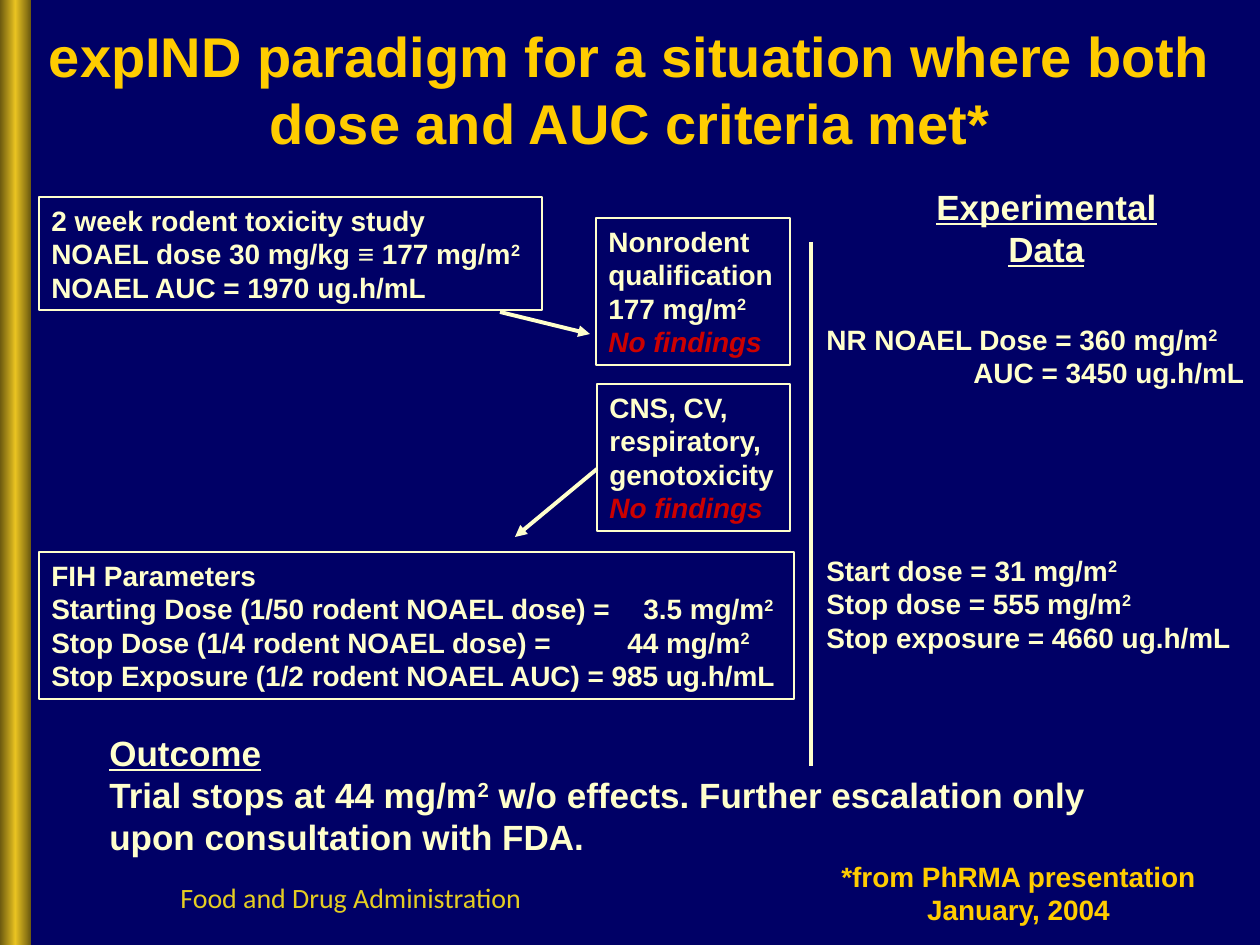
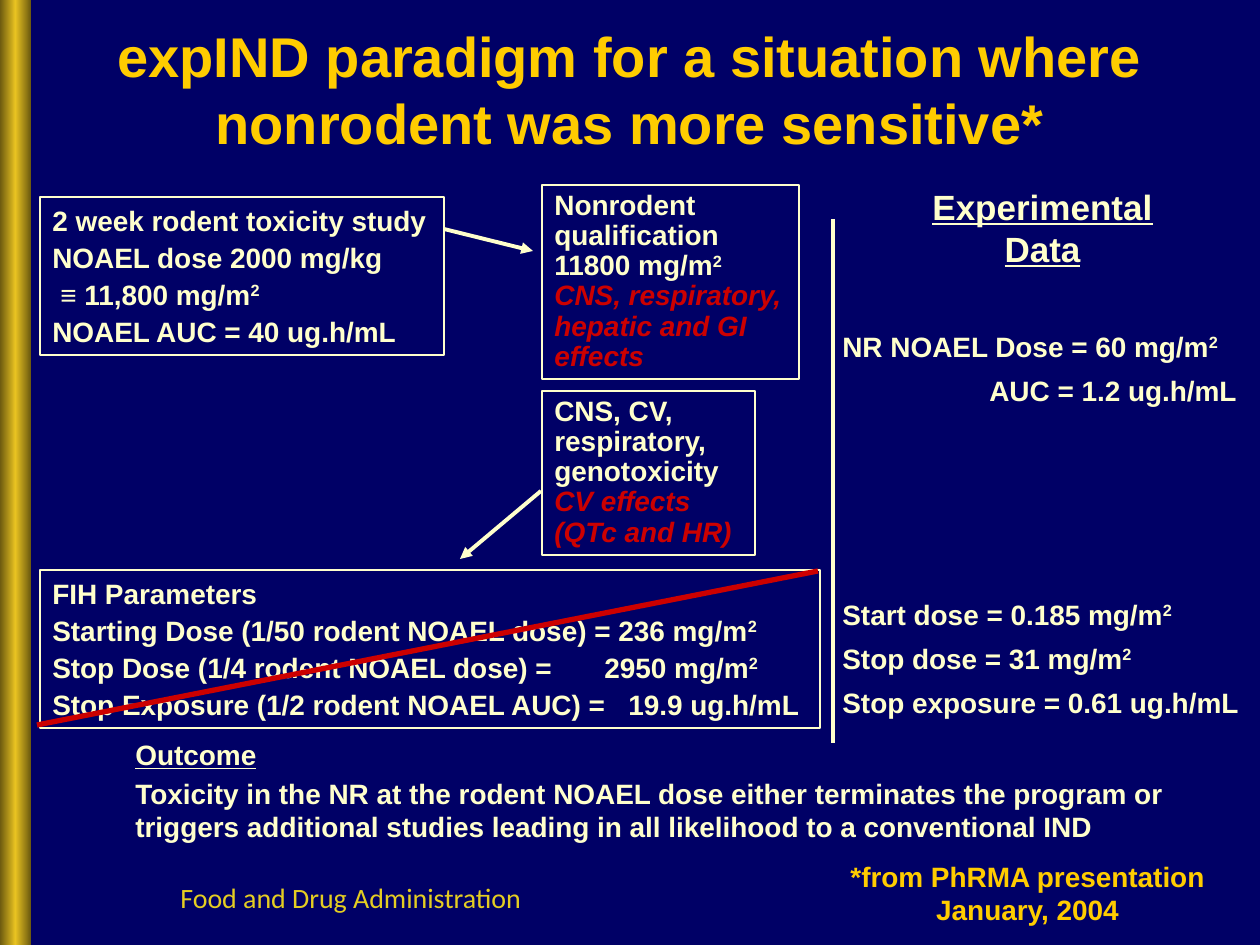
from copy import deepcopy

from lxml import etree
from pptx import Presentation
from pptx.dml.color import RGBColor
from pptx.enum.shapes import MSO_CONNECTOR, MSO_SHAPE
from pptx.enum.text import MSO_ANCHOR, MSO_AUTO_SIZE, PP_ALIGN
from pptx.oxml.ns import qn
from pptx.util import Pt

PX = 7257.14  # EMU in one px, at 126 px to the inch
NAVY = RGBColor(0x00, 0x00, 0x66)
GOLD = RGBColor(0xFF, 0xCC, 0x00)
CREAM = RGBColor(0xFF, 0xFF, 0xCC)
RED = RGBColor(0xCC, 0x00, 0x00)
BAND_EDGE = RGBColor(0x6B, 0x59, 0x0F)
BAND_CENTRE = RGBColor(0xE9, 0xC3, 0x21)
FOOTER_GOLD = RGBColor(0xE4, 0xCD, 0x22)
RECTANGLE = MSO_SHAPE.RECTANGLE
STRAIGHT = MSO_CONNECTOR.STRAIGHT
TOP, MIDDLE, BOTTOM = MSO_ANCHOR.TOP, MSO_ANCHOR.MIDDLE, MSO_ANCHOR.BOTTOM
LEFT, CENTER = PP_ALIGN.LEFT, PP_ALIGN.CENTER
NO_AUTOFIT = MSO_AUTO_SIZE.NONE
AUC_INDENT = 147

# Each text is (place, lines, options). A line is (text, options); ^ marks
# the start and end of a superscript, and tab and indent are px.
SLIDES = [
    {
        "title": "expIND paradigm for a situation where both dose and AUC criteria met*",
        "heading": (914, 179, 265, 97),
        "source": (811, 853, 415, 81),
        "boxes": [
            ((39, 197, 503, 113), [
                ("2 week rodent toxicity study", {}),
                ("NOAEL dose 30 mg/kg ≡ 177 mg/m^2^", {}),
                ("NOAEL AUC = 1970 ug.h/mL", {})], {}),
            ((596, 218, 194, 147), [
                ("Nonrodent qualification", {}),
                ("177 mg/m^2^", {}),
                ("No findings", {"finding": True})], {}),
            ((597, 384, 193, 147), [
                ("CNS, CV, respiratory, genotoxicity", {}),
                ("No findings", {"finding": True})], {}),
            ((39, 552, 755, 147), [
                ("FIH Parameters", {}),
                ("Starting Dose (1/50 rodent NOAEL dose) =\t3.5 mg/m^2^", {"tab": 592}),
                ("Stop Dose (1/4 rodent NOAEL dose) =\t44 mg/m^2^", {"tab": 576}),
                ("Stop Exposure (1/2 rodent NOAEL AUC) = 985 ug.h/mL", {})], {}),
        ],
        "notes": [
            ((814, 316, 446, 81), [
                ("NR NOAEL Dose = 360 mg/m^2^", {}),
                ("AUC = 3450 ug.h/mL", {"indent": AUC_INDENT})], {}),
            ((814, 547, 440, 113), [
                ("Start dose = 31 mg/m^2^", {}),
                ("Stop dose = 555 mg/m^2^", {}),
                ("Stop exposure = 4660 ug.h/mL", {})], {}),
            ((97, 725, 1034, 139), [
                ("Outcome", {"underline": True}),
                ("Trial stops at 44 mg/m^2^ w/o effects. Further escalation only "
                 "upon consultation with FDA.", {})], {"size": 20}),
        ],
        "divider": (811, 242, 811, 766),
        "arrows": [(500, 312, 590, 334), (597, 469, 515, 537)],
        "strikes": [],
    },
    {
        "title": "expIND paradigm for a situation where nonrodent was more sensitive*",
        "heading": (906, 179, 273, 97),
        "source": (829, 853, 397, 81),
        "boxes": [
            ((40, 197, 404, 158), [
                ("2 week rodent toxicity study", {}),
                ("NOAEL dose 2000 mg/kg", {}),
                ("≡ 11,800 mg/m^2^", {"indent": 8}),
                ("NOAEL AUC = 40 ug.h/mL", {})], {"gap": 2}),
            ((542, 185, 257, 194), [
                ("Nonrodent qualification 11800 mg/m^2^", {}),
                ("CNS, respiratory, hepatic and GI effects", {"finding": True})],
             {"spacing": 0.9}),
            ((542, 391, 213, 164), [
                ("CNS, CV, respiratory, genotoxicity", {}),
                ("CV effects (QTc and HR)", {"finding": True})], {"spacing": 0.9}),
            ((40, 570, 780, 158), [
                ("FIH Parameters", {}),
                ("Starting Dose (1/50 rodent NOAEL dose) = 236 mg/m^2^", {}),
                ("Stop Dose (1/4 rodent NOAEL dose) =\t2950 mg/m^2^", {"tab": 552}),
                ("Stop Exposure (1/2 rodent NOAEL AUC) =\t19.9 ug.h/mL", {"tab": 576})],
             {"gap": 2}),
        ],
        "notes": [
            ((830, 323, 428, 141), [
                ("NR NOAEL Dose = 60 mg/m^2^", {}),
                ("AUC = 1.2 ug.h/mL", {"indent": AUC_INDENT})], {"gap": 6}),
            ((830, 591, 428, 135), [
                ("Start dose = 0.185 mg/m^2^", {}),
                ("Stop dose = 31 mg/m^2^", {}),
                ("Stop exposure = 0.61 ug.h/mL", {})], {"gap": 6}),
            ((123, 731, 1137, 118), [
                ("Outcome", {"underline": True}),
                ("Toxicity in the NR at the rodent NOAEL dose either terminates the "
                 "program or triggers additional studies leading in all likelihood to "
                 "a conventional IND", {})], {"gap": 3}),
        ],
        "divider": (833, 219, 833, 743),
        "arrows": [(444, 229, 533, 251), (541, 491, 460, 559)],
        "strikes": [(37, 725, 818, 571)],
    },
]


def write_text(box, place, lines, size=16, color=CREAM, font="Arial", bold=True,
               align=LEFT, anchor=TOP, gap=0, spacing=None):
    """Place a text-bearing shape and fill it with formatted lines."""
    box.left, box.top, box.width, box.height = (round(n * PX) for n in place)
    frame = box.text_frame
    frame.word_wrap = True
    frame.auto_size = NO_AUTOFIT
    frame.vertical_anchor = anchor
    for number, (text, look) in enumerate(lines):
        para = frame.add_paragraph() if number else frame.paragraphs[0]
        para.alignment = align
        para.line_spacing = spacing
        para.space_before = Pt(gap if number else 0)
        properties = para._p.get_or_add_pPr()
        if "indent" in look:
            properties.set("marL", str(round(look["indent"] * PX)))
        if "tab" in look:
            tabs = etree.SubElement(properties, qn("a:tabLst"))
            etree.SubElement(tabs, qn("a:tab"), pos=str(round(look["tab"] * PX)), algn="l")
        for part, piece in enumerate(text.split("^")):
            if not piece:
                continue
            span = para.add_run()
            span.text = piece
            span.font.name = font
            span.font.size = Pt(size)
            span.font.bold = bold
            span.font.italic = look.get("finding", False)
            span.font.underline = look.get("underline", False)
            span.font.color.rgb = RED if look.get("finding") else color
            if part % 2:
                span.font._element.set("baseline", "30000")


def draw_line(page, ends, color=CREAM, width=2.25, arrow=False):
    line = page.shapes.add_connector(STRAIGHT, *(round(n * PX) for n in ends))
    line.line.color.rgb = color
    line.line.width = Pt(width)
    if arrow:
        etree.SubElement(line.line._get_or_add_ln(), qn("a:tailEnd"), type="triangle")
    etree.SubElement(line._element.spPr, qn("a:effectLst"))


deck = Presentation()
deck.slide_width, deck.slide_height = round(1260 * PX), round(945 * PX)
background = deck.slide_master.background.fill
background.solid()
background.fore_color.rgb = NAVY
title_only = deck.slide_layouts[5]

for content in SLIDES:
    page = deck.slides.add_slide(title_only)
    shapes = page.shapes

    band = shapes.add_shape(RECTANGLE, 0, 0, round(31 * PX), deck.slide_height)
    band.shadow.inherit = False
    band.line.fill.background()
    band.fill.gradient()
    band.fill.gradient_angle = 0
    stop_list = band._element.spPr.find(".//" + qn("a:gsLst"))
    stop_list.insert(1, deepcopy(stop_list[0]))
    for stop, position, color in zip(band.fill.gradient_stops, (0, 0.5, 1),
                                     (BAND_EDGE, BAND_CENTRE, BAND_EDGE)):
        stop.position = position
        stop.color.rgb = color

    write_text(shapes.add_textbox(0, 0, 0, 0), (168, 857, 399, 81),
               [("Food and Drug Administration", {})],
               color=FOOTER_GOLD, font="Calibri", bold=False, anchor=MIDDLE)
    write_text(shapes.title, (0, 15, 1260, 147), [(content["title"], {})],
               size=32, color=GOLD, align=CENTER, anchor=BOTTOM)
    write_text(shapes.add_textbox(0, 0, 0, 0), content["heading"],
               [("Experimental Data", {"underline": True})], size=20, align=CENTER)
    write_text(shapes.add_textbox(0, 0, 0, 0), content["source"],
               [("*from PhRMA presentation January, 2004", {})], color=GOLD, align=CENTER)

    for place, lines, options in content["boxes"]:
        box = shapes.add_shape(RECTANGLE, 0, 0, 0, 0)
        box.shadow.inherit = False
        box.fill.background()
        box.line.color.rgb = CREAM
        box.line.width = Pt(0.75)
        write_text(box, place, lines, **options)
    for place, lines, options in content["notes"]:
        write_text(shapes.add_textbox(0, 0, 0, 0), place, lines, **options)

    draw_line(page, content["divider"])
    for ends in content["arrows"]:
        draw_line(page, ends, arrow=True)
    for ends in content["strikes"]:
        draw_line(page, ends, color=RED, width=3)

deck.save("out.pptx")
